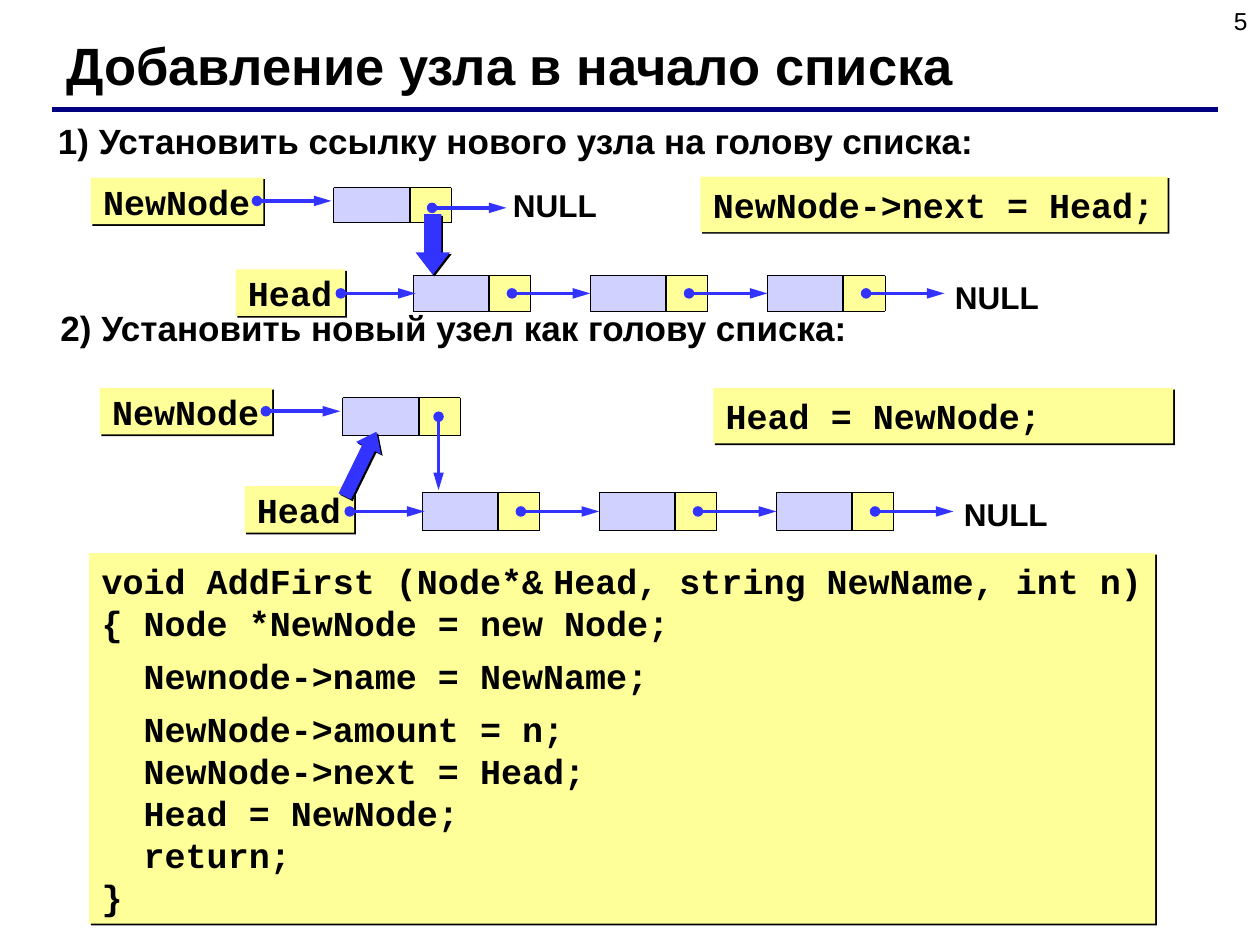
import pptx
import pptx.util
import pptx.dml.color
import pptx.enum.shapes
import pptx.enum.text
import pptx.oxml
import pptx.oxml.ns

Cm = pptx.util.Cm
Pt = pptx.util.Pt
SHAPE = pptx.enum.shapes.MSO_SHAPE
ALIGN = pptx.enum.text.PP_ALIGN

COLORS = {
    "text": "000000",
    "rule": "000080",
    "arrow": "3333FF",
    "data": "D1D1FF",
    "code": "FFFF99",
}
SANS, MONO = "Arial", "Courier New"
DATA_WIDTH, NODE_WIDTH, NODE_STEP = 1.53, 2.37, 3.57

CODE = [
    "void AddFirst (Node*& Head, string NewName, int n)",
    "{ Node *NewNode = new Node;",
    "  Newnode->name = NewName;",
    "  NewNode->amount = n;",
    "  NewNode->next = Head;",
    "  Head = NewNode;",
    "  return;",
    "}",
]
SPACED_LINES = (2, 3)


def rgb(name):
    return pptx.dml.color.RGBColor.from_string(COLORS[name])


def add_child(parent, tag, **attributes):
    child = pptx.oxml.parse_xml(f"<{tag} {pptx.oxml.ns.nsdecls('a')}/>")
    for name, value in attributes.items():
        child.set(name, str(value))
    parent.append(child)
    return child


def style_para(para, size, font=SANS, bold=True):
    para.font.size = Pt(size)
    para.font.name = font
    para.font.bold = bold
    para.font.color.rgb = rgb("text")


def set_frame(frame, margin=0.13, wrap=True):
    frame.word_wrap = wrap
    frame.vertical_anchor = pptx.enum.text.MSO_ANCHOR.TOP
    frame.margin_left = frame.margin_right = Cm(0.25)
    frame.margin_top = frame.margin_bottom = Cm(margin)


def add_text(page, left, top, width, height, text, size, align=ALIGN.LEFT, bold=True):
    box = page.shapes.add_textbox(Cm(left), Cm(top), Cm(width), Cm(height))
    set_frame(box.text_frame)
    para = box.text_frame.paragraphs[0]
    para.text = text
    para.alignment = align
    style_para(para, size, bold=bold)


def add_filled(page, kind, left, top, width, height, color, shadow=False):
    shape = page.shapes.add_shape(kind, Cm(left), Cm(top), Cm(width), Cm(height))
    shape.fill.solid()
    shape.fill.fore_color.rgb = rgb(color)
    shape.line.fill.background()
    shape.shadow.inherit = False
    if shadow:
        effects = shape.element.spPr.find(pptx.oxml.ns.qn("a:effectLst"))
        outer = add_child(effects, "a:outerShdw", dist=Pt(1.4), dir=45 * 60000,
                          algn="ctr", rotWithShape=0)
        add_child(outer, "a:srgbClr", val=COLORS["text"])
    return shape


def add_line(page, x1, y1, x2, y2, color="text", width=0.5):
    line = page.shapes.add_connector(
        pptx.enum.shapes.MSO_CONNECTOR.STRAIGHT, Cm(x1), Cm(y1), Cm(x2), Cm(y2))
    line.line.color.rgb = rgb(color)
    line.line.width = Pt(width)
    add_child(line.element.spPr, "a:effectLst")
    return line


def add_pointer(page, x1, y1, x2, y2):
    """Draw a link that starts with a dot and ends with an arrowhead."""
    line = add_line(page, x1, y1, x2, y2, "arrow", 2)
    outline = line.element.spPr.find(pptx.oxml.ns.qn("a:ln"))
    add_child(outline, "a:headEnd", type="oval", w="med", len="med")
    add_child(outline, "a:tailEnd", type="triangle", w="med", len="lg")


def add_block_arrow(page, left, top, width, height, rotation=0):
    arrow = add_filled(page, SHAPE.DOWN_ARROW, left, top, width, height,
                       "arrow", shadow=True)
    arrow.adjustments[0] = 0.5
    arrow.adjustments[1] = 0.65
    arrow.rotation = rotation


def add_code(page, left, top, width, height, lines, margin=0.13, wrap=True, spaced=()):
    box = add_filled(page, SHAPE.RECTANGLE, left, top, width, height, "code", shadow=True)
    frame = box.text_frame
    set_frame(frame, margin, wrap)
    for index, text in enumerate(lines):
        para = frame.paragraphs[0] if index == 0 else frame.add_paragraph()
        para.alignment = ALIGN.LEFT
        if index in spaced:
            para.space_before = Pt(6.2)
        before, gap, after = text.partition("& ")
        if gap:
            # A proportional space keeps the long signature on one line.
            para.add_run().text = before + "&"
            space = para.add_run()
            space.text = " "
            space.font.name = SANS
            para.add_run().text = after
        else:
            para.text = text
        style_para(para, 20, MONO)


def add_node(page, left, top, height):
    """Draw a list node: a data cell and a link cell."""
    divider, right, bottom = left + DATA_WIDTH, left + NODE_WIDTH, top + height
    add_filled(page, SHAPE.RECTANGLE, divider, top, right - divider, height, "code")
    add_filled(page, SHAPE.RECTANGLE, left, top, DATA_WIDTH, height, "data")
    for y in (top, bottom):
        add_line(page, left, y, right, y)
    for x, width in ((left, 0.5), (divider, 1), (right, 0.5)):
        add_line(page, x, top, x, bottom, width=width)


def add_null(page, left, top):
    add_text(page, left, top, 2.35, 1.02, "NULL", 18)


def add_list_diagram(page, left, top, node_height, drop):
    """Draw the new node and, lower by drop, the list that Head points to."""
    add_node(page, left + 4.9, top + 0.2, node_height)
    add_code(page, left, top, 3.48, 0.94, ["NewNode"], 0.05, wrap=False)
    add_code(page, left + 2.92, top + drop, 2.21, 0.94, ["Head"], 0.05, wrap=False)
    add_pointer(page, left + 3.35, top + 0.47, left + 4.85, top + 0.47)

    row = top + drop + 0.13
    middle = row + node_height / 2
    for index in range(3):
        node_left = left + 6.5 + index * NODE_STEP
        add_node(page, node_left, row, node_height)
        add_pointer(page, node_left + 1.99, middle, node_left + NODE_STEP, middle)
    add_null(page, left + 17.17, top + drop + 0.05)
    add_pointer(page, left + 5.04, middle, left + 6.55, middle)


def add_header(page, left, top, width):
    add_text(page, left + 18.44, top - 0.53, 5.92, 1.32, "5", 14, ALIGN.RIGHT, bold=False)
    add_line(page, left, top + 1.68, left + width, top + 1.68, "rule", 3)
    add_text(page, left + 0.05, top, 22.6, 1.52, "Добавление узла в начало списка", 30)


def add_link_step(page, left, top):
    add_text(page, left - 0.91, top - 1.3, 23.85, 1.12,
             "1) Установить ссылку нового узла на голову списка:", 20)
    add_code(page, left + 12.29, top - 0.02, 9.42, 1.12,
             ["NewNode->next = Head;"], wrap=False)
    add_list_diagram(page, left, top, 0.71, 1.85)
    add_block_arrow(page, left + 6.55, top + 0.74, 0.69, 1.22)
    add_pointer(page, left + 6.88, top + 0.61, left + 8.38, top + 0.61)
    add_null(page, left + 8.26, top + 0.05)


def add_head_step(page, left, top):
    add_list_diagram(page, left, top, 0.76, 1.98)
    add_pointer(page, left + 6.83, top + 0.58, left + 6.83, top + 2.06)
    add_block_arrow(page, left + 4.98, top + 0.81, 0.56, 1.45, 206.1)
    add_text(page, left - 1.04, top - 1.78, 23.85, 1.12,
             "2) Установить новый узел как голову списка:", 20)
    add_code(page, left + 12.37, top, 9.27, 1.12, ["Head = NewNode;"])


def main():
    deck = pptx.Presentation()
    deck.slide_width, deck.slide_height = Cm(25.4), Cm(19.05)
    page = deck.slides.add_slide(deck.slide_layouts[6])
    add_header(page, 1.04, 0.53, 23.52)
    add_link_step(page, 1.83, 3.58)
    add_head_step(page, 2.01, 7.82)
    add_code(page, 1.8, 11.15, 21.49, 7.47, CODE, spaced=SPACED_LINES)
    deck.save("out.pptx")


if __name__ == "__main__":
    main()
